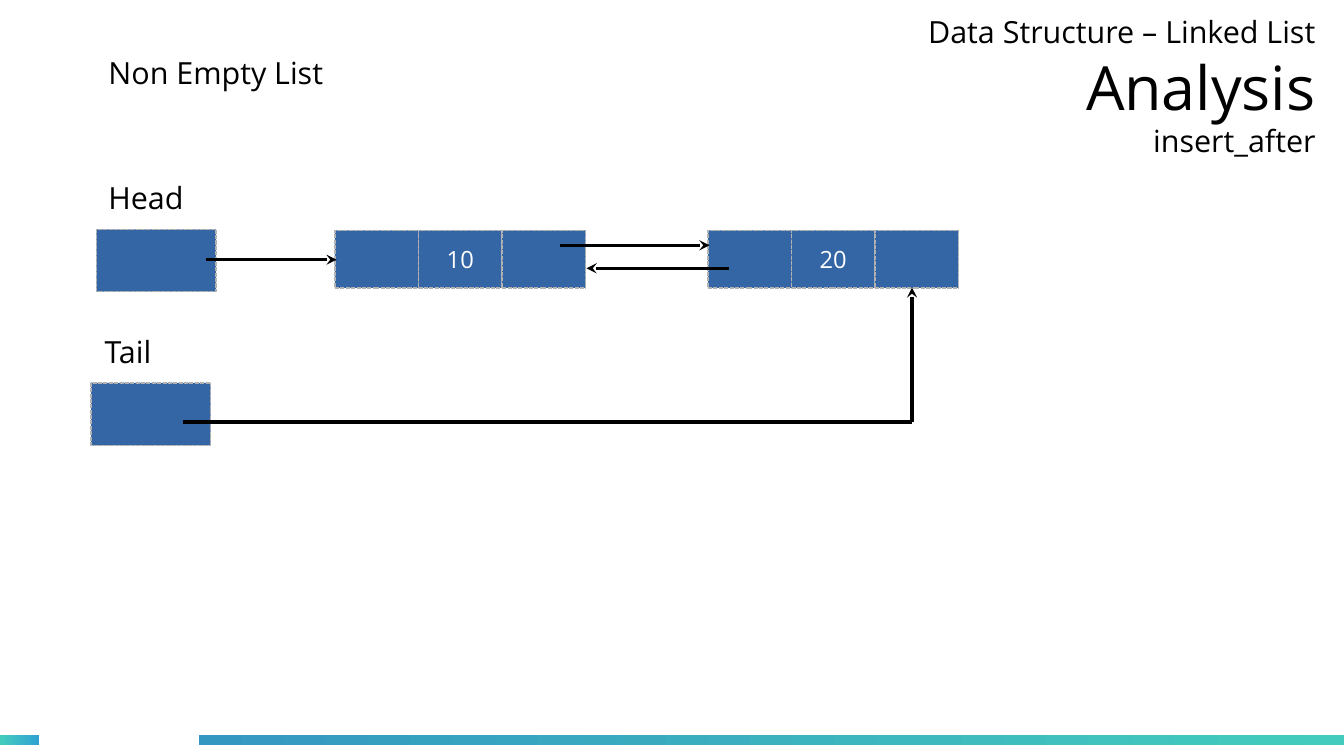
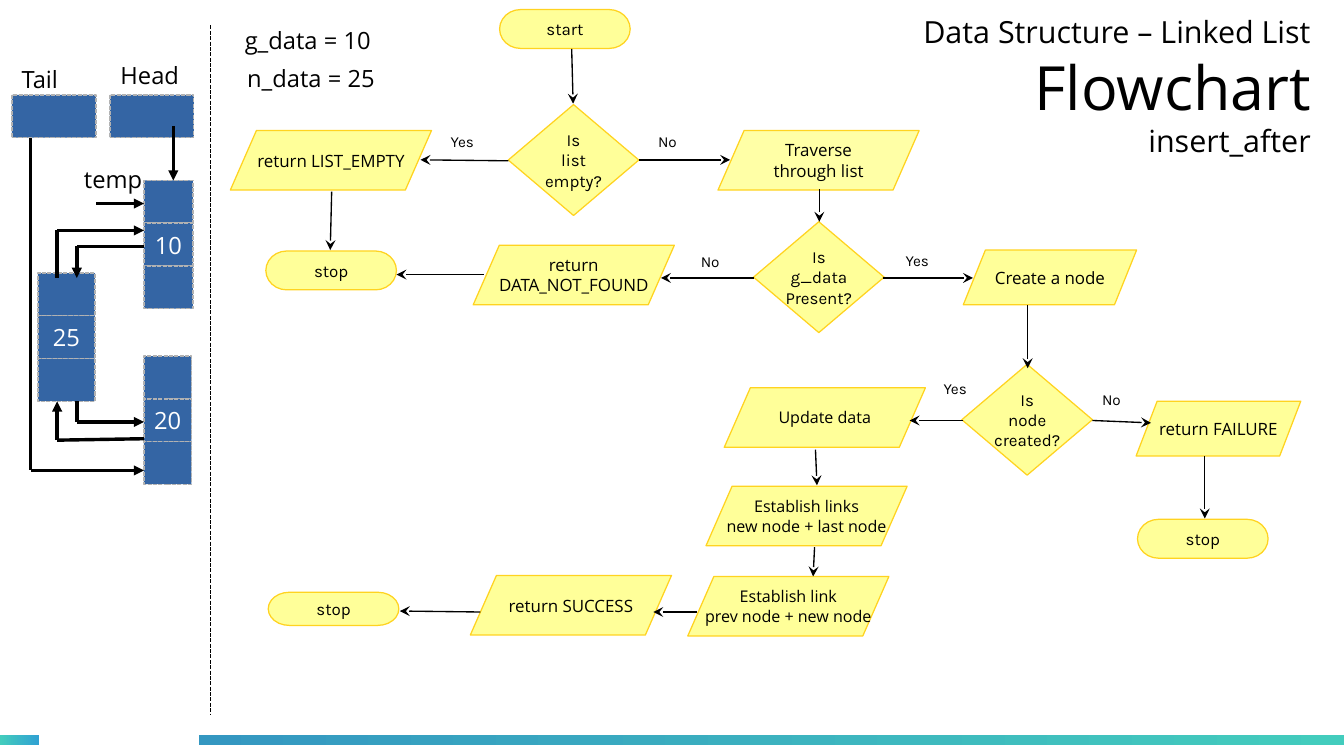
import itertools

import lxml.etree
import pptx
import pptx.dml.color
import pptx.enum.dml
import pptx.enum.shapes
import pptx.enum.text
import pptx.oxml.ns
import pptx.util

Cm = pptx.util.Cm
Pt = pptx.util.Pt
SHAPE = pptx.enum.shapes.MSO_SHAPE
ALIGN = pptx.enum.text.PP_ALIGN
ANCHOR = pptx.enum.text.MSO_ANCHOR


def color(hex_string):
    return pptx.dml.color.RGBColor.from_string(hex_string)


class Deck:
    BODY, FLOW = "Open Sans", "Karla"
    BLACK, WHITE = "000000", "FFFFFF"
    BLUE, GREY = "3465A4", "B2B2B2"
    YELLOW, GOLD = "FFFF99", "FFD320"
    TEAL = "43CCBD"
    DASH = pptx.enum.dml.MSO_LINE.SQUARE_DOT
    HAIRLINE, THIN = 0, 0.79

    def __init__(self):
        self.prs = pptx.Presentation()
        self.prs.slide_width, self.prs.slide_height = Cm(28), Cm(15.75)
        self.slide = None

    def new_slide(self, heading, title_left):
        self.slide = self.prs.slides.add_slide(self.prs.slide_layouts[6])
        self.band(0, 0.81, self.TEAL, "30A2D2")
        self.band(4.14, 23.86, "3497C1", self.TEAL)
        title = self.slide.shapes.add_textbox(Cm(title_left), Cm(-0.05), Cm(8.79), Cm(3.68))
        frame = title.text_frame
        frame.margin_left = frame.margin_right = frame.margin_top = frame.margin_bottom = 0
        frame.vertical_anchor = ANCHOR.MIDDLE
        self.set_text(frame, ["Data Structure – Linked List", heading, "insert_after"], 18, align=ALIGN.RIGHT)
        frame.paragraphs[1].font.size = Pt(36)

    def set_text(self, frame, lines, size, font=BODY, ink=BLACK, align=ALIGN.LEFT, wrap=True):
        frame.word_wrap = wrap
        frame.text = "\n".join(lines)
        for paragraph in frame.paragraphs:
            paragraph.alignment = align
            paragraph.font.size = Pt(size)
            paragraph.font.name = font
            paragraph.font.color.rgb = color(ink)

    def shape(self, kind, x, y, w, h):
        shape = self.slide.shapes.add_shape(kind, Cm(x), Cm(y), Cm(w), Cm(h))
        shape.shadow.inherit = False
        return shape

    def band(self, x, w, start, end):
        band = self.shape(SHAPE.RECTANGLE, x, 15.32, w, 0.2)
        band.line.fill.background()
        band.fill.gradient()
        band.fill.gradient_angle = 0
        for stop, tint in zip(band.fill.gradient_stops, (start, end)):
            stop.color.rgb = color(tint)

    def label(self, text, x, y, w, size=18, font=BODY):
        label = self.slide.shapes.add_textbox(Cm(x), Cm(y), Cm(w), Cm(size / 16))
        self.set_text(label.text_frame, [text], size, font)

    def cell(self, x, y, w, h, value=""):
        cell = self.shape(SHAPE.RECTANGLE, x, y, w, h)
        cell.fill.solid()
        cell.fill.fore_color.rgb = color(self.BLUE)
        cell.line.color.rgb = color(self.GREY)
        cell.line.width = Pt(self.THIN)
        cell.line.dash_style = self.DASH
        if value:
            cell.text_frame.vertical_anchor = ANCHOR.MIDDLE
            self.set_text(cell.text_frame, [value], 14, ink=self.WHITE, align=ALIGN.CENTER, wrap=False)

    def node(self, value, x, y, w, h, stacked=False):
        for i, content in enumerate(("", value, "")):
            self.cell(x + (0 if stacked else i * w), y + (i * h if stacked else 0), w, h, content)

    def flow(self, kind, lines, x, y, w, h, size=10, font=BODY, fill=YELLOW, slant=None):
        step = self.shape(kind, x, y, w, h)
        if slant:
            step.adjustments[0] = slant
        step.fill.solid()
        step.fill.fore_color.rgb = color(fill)
        step.line.color.rgb = color(self.GOLD)
        step.line.width = Pt(self.HAIRLINE)
        step.text_frame.vertical_anchor = ANCHOR.MIDDLE
        self.set_text(step.text_frame, lines, size, font, align=ALIGN.CENTER, wrap=False)

    def terminator(self, text, x, y, h=0.81):
        self.flow(SHAPE.FLOWCHART_TERMINATOR, [text], x, y, 2.72, h, font=self.FLOW)

    def decision(self, lines, x, y):
        self.flow(SHAPE.FLOWCHART_DECISION, lines, x, y, 2.72, 2.31, font=self.FLOW)

    def step(self, lines, x, y, w=4.19, h=1.24, slant=0.438, **style):
        self.flow(SHAPE.PARALLELOGRAM, lines, x, y, w, h, slant=slant, **style)

    def line(self, start, end, width=THIN, head=None, dash=None):
        ends = [Cm(v) for v in (*start, *end)]
        line = self.slide.shapes.add_connector(pptx.enum.shapes.MSO_CONNECTOR.STRAIGHT, *ends)
        line.line.color.rgb = color(self.BLACK)
        line.line.width = Pt(width)
        if dash:
            line.line.dash_style = dash
        properties = line._element.spPr
        if head:
            outline = properties.find(pptx.oxml.ns.qn("a:ln"))
            lxml.etree.SubElement(outline, pptx.oxml.ns.qn("a:tailEnd"), type=head)
        lxml.etree.SubElement(properties, pptx.oxml.ns.qn("a:effectLst"))

    def pointer(self, points, head):
        for start, end in itertools.pairwise(points):
            self.line(start, end, self.HAIRLINE, head if end == points[-1] else None)


def analysis_slide(deck):
    deck.new_slide("Analysis", 18.62)
    deck.label("Non Empty List", 2.01, 0.99, 7.19)
    deck.label("Head", 2.01, 3.61, 2.82)
    deck.label("Tail", 1.93, 6.81, 2.06)
    deck.cell(2.01, 4.78, 2.49, 1.3)
    deck.cell(1.9, 7.98, 2.49, 1.3)
    deck.node("10", 6.98, 4.8, 1.74, 1.2)
    deck.node("20", 14.75, 4.8, 1.74, 1.2)
    for points in (
        [(4.29, 5.41), (7.01, 5.41)],
        [(3.81, 8.79), (19, 8.79), (19, 5.99)],
        [(11.66, 5.11), (14.78, 5.11)],
        [(15.19, 5.59), (12.22, 5.59)],
    ):
        deck.pointer(points, "stealth")


def list_sketch(deck):
    deck.label("g_data = 10", 4.85, 0.41, 3.8, 14)
    deck.label("n_data = 25", 4.9, 1.21, 3.8, 14)
    deck.label("Head", 2.26, 1.14, 1.9, 14)
    deck.label("Tail", 0.2, 1.22, 1.9, 14)
    deck.label("temp", 1.5, 3.3, 1.8, 14)
    deck.cell(2.29, 1.98, 1.75, 0.89)
    deck.cell(0.25, 1.98, 1.75, 0.89)
    for value, x, y, w in (("10", 3, 3.76, 1.02), ("20", 3, 7.42, 0.99), ("25", 0.79, 5.69, 1.19)):
        deck.node(value, x, y, w, 0.89, stacked=True)
    for points in (
        [(3.61, 2.62), (3.61, 3.76)],
        [(0.64, 2.87), (0.64, 9.8), (3, 9.8)],
        [(2.01, 4.24), (3, 4.24)],
        [(1.6, 8.36), (1.6, 8.79), (3, 8.79)],
        [(3, 9.14), (1.19, 9.17), (1.19, 8.36)],
        [(1.19, 5.79), (1.19, 4.8), (3, 4.8)],
        [(3, 5.13), (1.6, 5.13), (1.6, 5.79)],
    ):
        deck.pointer(points, "triangle")
    deck.line((4.39, 0.53), (4.39, 14.88), dash=deck.DASH)


def flowchart(deck):
    deck.terminator("start", 10.41, 0.2)
    deck.terminator("stop", 5.54, 5.23)
    deck.terminator("stop", 23.7, 10.82)
    deck.terminator("stop", 5.59, 12.34, 0.69)
    deck.decision(["Is", "list", "empty?"], 10.59, 2.18)
    deck.decision(["Is", "g_data", "Present?"], 15.7, 4.62)
    deck.decision(["Is", "node", "created?"], 20.04, 7.59)
    deck.step(["Traverse", "through list"], 14.96, 2.72, fill="FFFFA6")
    deck.step(["return LIST_EMPTY"], 4.8, 2.72)
    deck.step(["return", "DATA_NOT_FOUND"], 9.86, 5.11)
    deck.step(["Create a node"], 20.07, 5.21, 3.61, 1.14, 0.404)
    deck.step(["return FAILURE"], 23.67, 8.36, 3.43, 1.14, 0.385)
    deck.step(["Update data"], 15.09, 8.08, size=9.5)
    deck.step(["Establish links", "new node + last node"], 14.71, 10.13, size=9.5)
    deck.step(["Establish link", "prev node + new node"], 14.33, 12.01, size=9.5)
    deck.step(["return SUCCESS"], 9.8, 11.99)
    for answer, x, y in (
        ("Yes", 9.14, 2.62), ("No", 13.46, 2.62), ("No", 14.35, 5.13),
        ("Yes", 18.62, 5.11), ("Yes", 19.41, 7.77), ("No", 22.71, 8),
    ):
        deck.label(answer, x, y, 1.4, 9, deck.FLOW)
    for start, end in (
        ((11.91, 1.02), (11.94, 2.16)),
        ((10.59, 3.35), (8.76, 3.33)),
        ((13.31, 3.33), (15.21, 3.33)),
        ((6.91, 3.99), (6.88, 5.21)),
        ((17.07, 3.94), (17.07, 4.62)),
        ((15.7, 5.79), (13.77, 5.79)),
        ((10.08, 5.72), (8.26, 5.72)),
        ((18.39, 5.79), (20.27, 5.79)),
        ((21.41, 6.35), (21.41, 7.67)),
        ((20.07, 8.76), (18.95, 8.76)),
        ((22.76, 8.76), (23.98, 8.81)),
        ((25.1, 9.5), (25.1, 10.8)),
        ((16.99, 9.37), (17.02, 10.11)),
        ((16.97, 11.4), (16.94, 12.01)),
        ((14.53, 12.75), (13.61, 12.75)),
        ((10.01, 12.75), (8.33, 12.73)),
    ):
        deck.line(start, end, head="stealth")


def main():
    deck = Deck()
    analysis_slide(deck)
    deck.new_slide("Flowchart", 18.52)
    list_sketch(deck)
    flowchart(deck)
    deck.prs.save("out.pptx")


if __name__ == "__main__":
    main()
